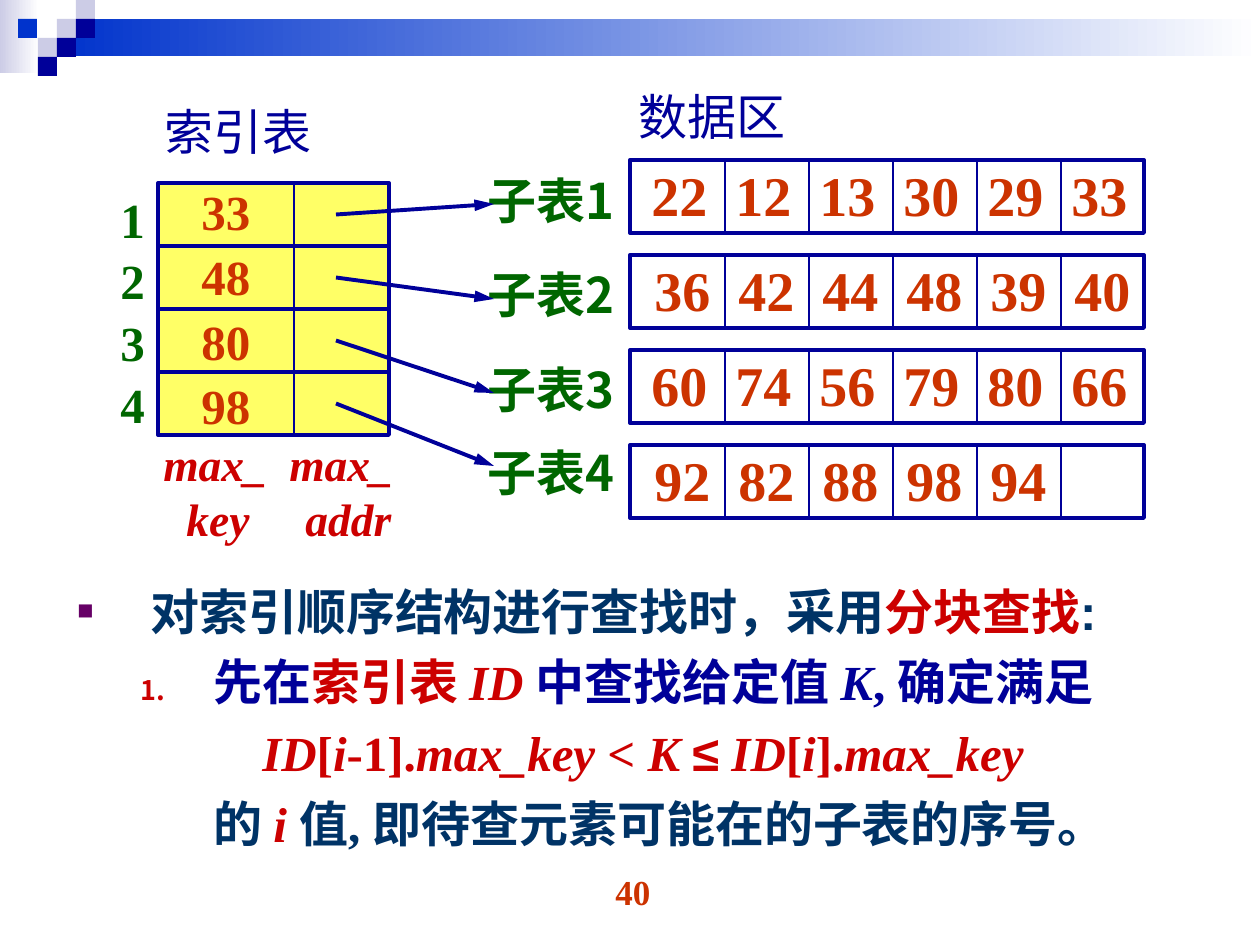
"""Build the slide on block search over an index table."""
from lxml.etree import SubElement
from pptx import Presentation
from pptx.dml.color import RGBColor
from pptx.enum.shapes import MSO_CONNECTOR as LINK, MSO_SHAPE as SHAPE
from pptx.enum.text import PP_ALIGN as ALIGN
from pptx.oxml.ns import qn
from pptx.util import Emu, Pt

COLORS = {
    "navy": "000099", "blue": "0033CC", "lilac": "CCCCE6", "white": "FFFFFF",
    "yellow": "FFFF66", "orange": "CC3300", "green": "006600", "red": "CC0000",
    "slate": "003366", "purple": "660066",
}
SERIF, SANS, CJK = "Times New Roman", "Arial", "Noto Sans CJK SC"

SQUARES = [
    (57, 19, "lilac"), (76, 0, "lilac"), (76, 19, "navy"), (38, 38, "lilac"),
    (18, 19, "blue"), (57, 38, "navy"), (38, 57, "navy"),
]
TITLES = [("索引表", 152, 95), ("数据区", 626, 80)]
SUBLISTS = [
    {"name": "子表1", "keys": [22, 12, 13, 30, 29, 33], "left": 639, "label": 164, "tip": 204},
    {"name": "子表2", "keys": [36, 42, 44, 48, 39, 40], "left": 642, "label": 258, "tip": 299},
    {"name": "子表3", "keys": [60, 74, 56, 79, 80, 66], "left": 639, "label": 353, "tip": 393},
    {"name": "子表4", "keys": [92, 82, 88, 98, 94], "left": 642, "label": 436, "tip": 466},
]
MAX_KEYS = ["33", "48", "80", "98"]
HEADINGS = [(151, "key", 23), (277, "addr", 16)]
ITALIC = {"italic": True}
SLATE, RED, NAVY = ({"color": name} for name in ("slate", "red", "navy"))
VARIABLE = RED | ITALIC
BODY = [
    {"margin": 73, "indent": -73, "bullet": ("buChar", {"char": "■"}, "purple"), "runs": [
        ("对索引顺序结构进行查找时，采用", SLATE | {"font": SANS}),
        ("分块查找", RED | {"font": SANS}), (":", SLATE | {"font": SANS})]},
    {"margin": 136, "indent": -73,
     "bullet": ("buAutoNum", {"type": "arabicPeriod"}, "red"), "runs": [
         ("先在", NAVY), ("索引表 ", RED), ("ID ", VARIABLE), ("中查找给定值 ", NAVY),
         ("K", NAVY | ITALIC), (", 确定满足", NAVY)]},
    {"margin": 185, "runs": [
        ("ID", VARIABLE), ("[", RED), ("i", VARIABLE), ("-1].", RED), ("max_key", VARIABLE),
        (" < ", RED), ("K ", VARIABLE), ("≤", RED | {"font": SANS}), (" ID", VARIABLE),
        ("[", RED), ("i", VARIABLE), ("].", RED), ("max_key", VARIABLE)]},
    {"margin": 136, "runs": [
        ("的 ", SLATE), ("i ", VARIABLE), ("值, 即待查元素可能在的子表的序号。", SLATE)]},
]

ROW_LEFT, ROW_TOP, ROW_STEP, ROW_WIDTH, ROW_HEIGHT = 630, 160, 95, 514, 73
DIVIDER_LEFT, COLUMN = 725, 84
INDEX_LEFT, INDEX_TOP, INDEX_WIDTH, INDEX_ROW = 158, 183, 231, 63
INDEX_SPLIT, ARROW_LEFT, ARROW_TIP = 294, 336, 494


def px(value):
    return Emu(round(value * 914400 / 126))


def rgb(name):
    return RGBColor.from_string(COLORS[name])


def add_rect(page, left, top, width, height, fill, line=None, fade=False):
    shape = page.shapes.add_shape(SHAPE.RECTANGLE, px(left), px(top), px(width), px(height))
    shape.shadow.inherit = False
    if fade:
        shape.fill.gradient()
        shape.fill.gradient_angle = 0
        for stop, name, position in zip(shape.fill.gradient_stops, (fill, "white"), (0, 1)):
            stop.color.rgb = rgb(name)
            stop.position = position
    else:
        shape.fill.solid()
        shape.fill.fore_color.rgb = rgb(fill)
    if line:
        shape.line.color.rgb = rgb(line)
        shape.line.width = Pt(2.25)
    else:
        shape.line.fill.background()
    return shape


def add_line(page, x1, y1, x2, y2, weight=2.25, arrow=False):
    link = page.shapes.add_connector(LINK.STRAIGHT, px(x1), px(y1), px(x2), px(y2))
    link.line.color.rgb = rgb("navy")
    link.line.width = Pt(weight)
    if arrow:
        line = link._element.spPr.find(qn("a:ln"))
        SubElement(line, qn("a:tailEnd"), type="triangle", w="med", len="lg")
    SubElement(link._element.spPr, qn("a:effectLst"))
    return link


def format_para(para, item):
    props = para._p.get_or_add_pPr()
    props.set("marL", str(px(item.get("margin", 0))))
    props.set("indent", str(px(item.get("indent", 0))))
    if "bullet" in item:
        tag, values, color = item["bullet"]
        tint = SubElement(props, qn("a:buClr"))
        SubElement(tint, qn("a:srgbClr"), val=COLORS[color])
        SubElement(props, qn("a:buSzPct"), val="55000")
        SubElement(props, qn("a:buFont"), typeface=SANS)
        SubElement(props, qn("a:" + tag), values)


def add_text(page, left, top, width, height, items, size=28, color="navy", font=SERIF,
             bold=True, italic=False, align=ALIGN.LEFT, spacing=None, before=0, wrap=False):
    box = page.shapes.add_textbox(px(left), px(top), px(width), px(height))
    frame = box.text_frame
    frame.word_wrap = wrap
    for number, item in enumerate(items):
        if isinstance(item, str):
            item = {"runs": [(item, {})]}
        para = frame.paragraphs[0] if number == 0 else frame.add_paragraph()
        format_para(para, item)
        para.alignment = align
        if spacing:
            para.line_spacing = spacing
        if number and before:
            para.space_before = Pt(before)
        for text, style in item["runs"]:
            span = para.add_run()
            span.text = text
            span.font.size = Pt(size)
            span.font.bold = bold
            span.font.italic = style.get("italic", italic)
            span.font.color.rgb = rgb(style.get("color", color))
            span.font.name = style.get("font", font)
            SubElement(span._r.get_or_add_rPr(), qn("a:ea"), typeface=CJK)
    return box


def add_banner(page):
    add_rect(page, 0, 0, 39, 73, "lilac", fade=True)
    add_rect(page, 57, 19, 1203, 37, "blue", fade=True)
    for left, top, color in SQUARES:
        add_rect(page, left, top, 19, 19, color)


def add_data_area(page):
    for number, sublist in enumerate(SUBLISTS):
        top = ROW_TOP + number * ROW_STEP
        add_rect(page, ROW_LEFT, top, ROW_WIDTH, ROW_HEIGHT, "white", line="navy")
        for column in range(5):
            x = DIVIDER_LEFT + column * COLUMN
            add_line(page, x, top + 1, x, top + ROW_HEIGHT + 1, weight=0.75)
        for column, key in enumerate(sublist["keys"]):
            add_text(page, sublist["left"] + column * COLUMN, top - 6, COLUMN, 81,
                     [str(key)], size=32, color="orange")
        add_text(page, 475, sublist["label"], 164, 72, [sublist["name"]],
                 color="green", font=CJK)


def add_index(page):
    count = len(MAX_KEYS)
    bottom = INDEX_TOP + count * INDEX_ROW
    table = add_rect(page, INDEX_LEFT, INDEX_TOP, INDEX_WIDTH, bottom - INDEX_TOP,
                     "yellow", line="navy")
    for number in range(1, count):
        y = INDEX_TOP + number * INDEX_ROW
        rule = add_line(page, INDEX_LEFT, y, INDEX_LEFT + INDEX_WIDTH, y)
        if number * 2 == count:
            rule.begin_connect(table, 1)
            rule.end_connect(table, 3)
    add_line(page, INDEX_SPLIT, INDEX_TOP, INDEX_SPLIT, bottom, weight=0.75)
    add_text(page, 189, 175, 76, 267, MAX_KEYS, color="orange", before=3.5)
    add_text(page, 108, 180, 50, 260, [str(n + 1) for n in range(count)],
             color="green", spacing=1.05)
    for number, sublist in enumerate(SUBLISTS):
        middle = INDEX_TOP + (number + 0.5) * INDEX_ROW
        add_line(page, ARROW_LEFT, middle, ARROW_TIP, sublist["tip"], arrow=True)
    for left, word, margin in HEADINGS:
        add_text(page, left, 430, 140, 122,
                 ["max_", {"margin": margin, "runs": [(word, {})]}],
                 size=26, color="red", italic=True, wrap=True)


def main():
    deck = Presentation()
    deck.slide_width, deck.slide_height = px(1260), px(945)
    page = deck.slides.add_slide(deck.slide_layouts[6])
    add_banner(page)
    add_text(page, 486, 864, 294, 66, ["40"], size=20, color="orange",
             align=ALIGN.CENTER, wrap=True)
    add_text(page, 65, 572, 1166, 305, BODY, spacing=1.05, before=5.2, wrap=True)
    for title, left, top in TITLES:
        add_text(page, left, top, 190, 72, [title], bold=False, wrap=True)
    add_data_area(page)
    add_index(page)
    deck.save("out.pptx")


if __name__ == "__main__":
    main()
